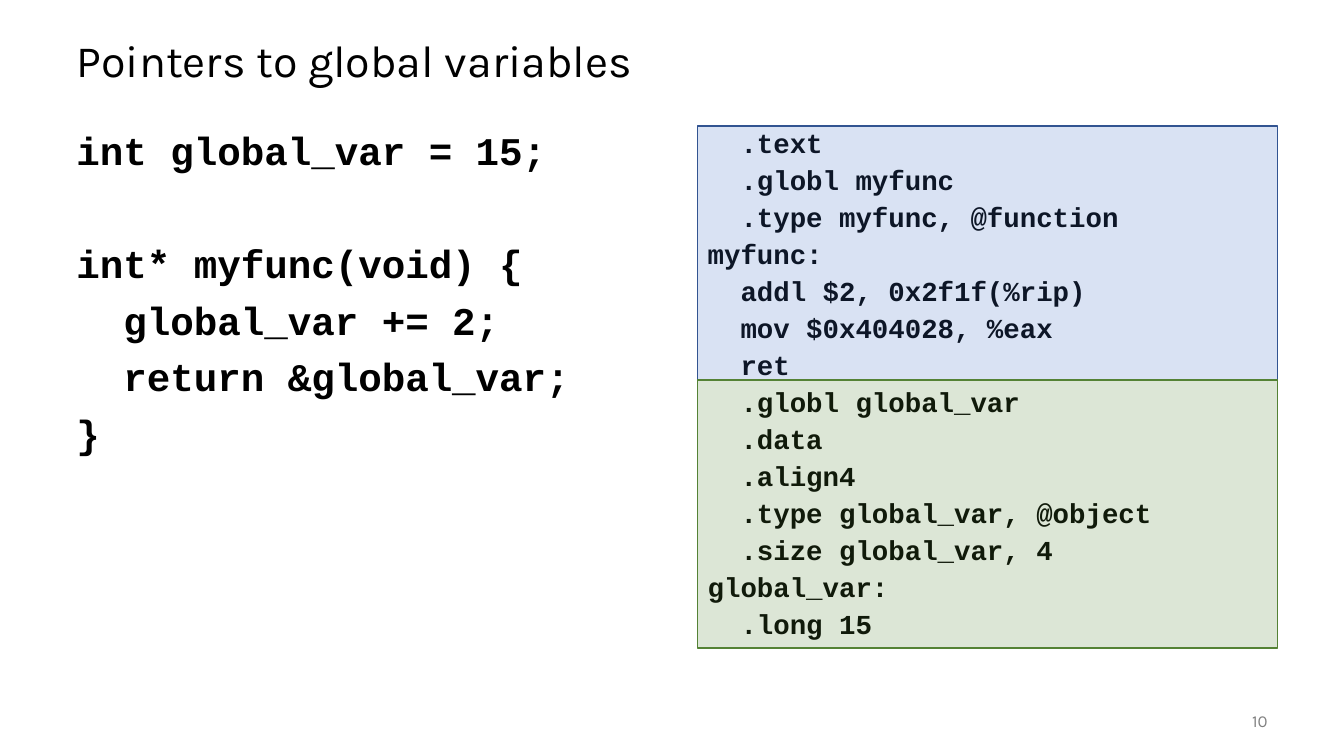
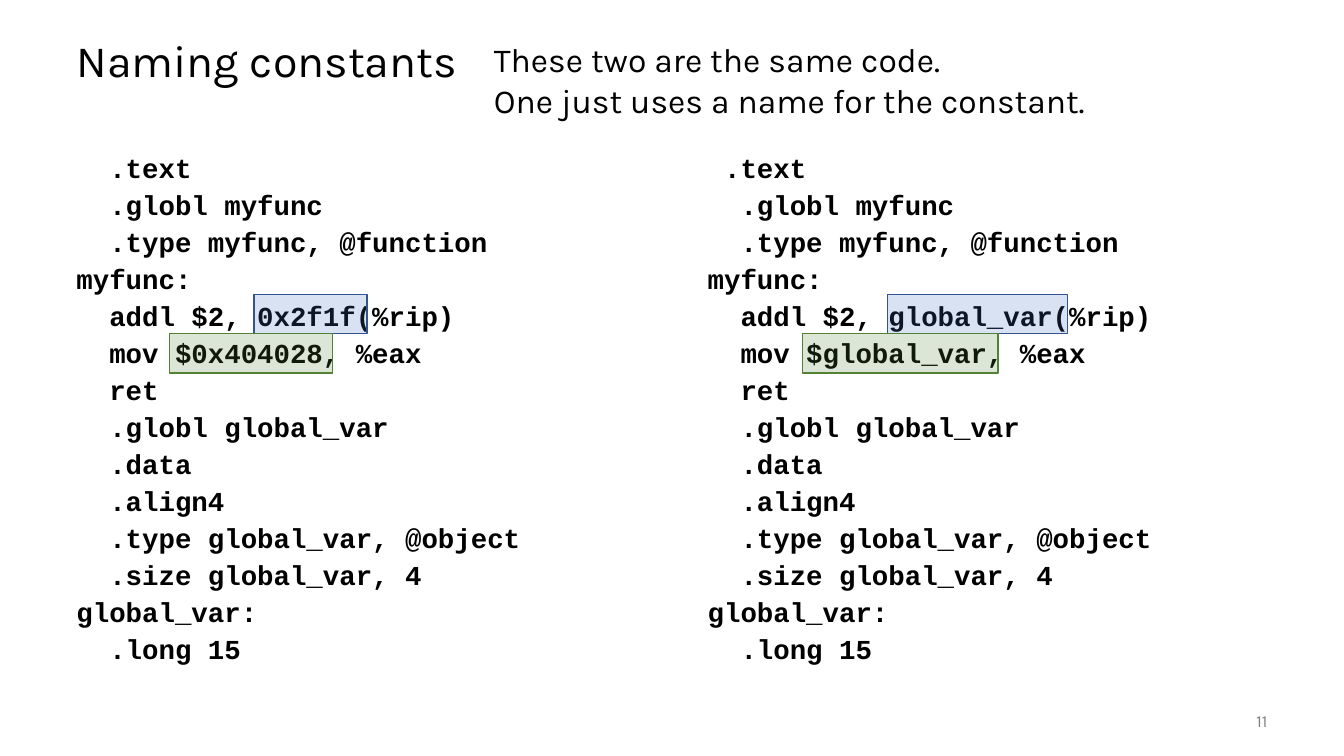
from pptx import Presentation
from pptx.dml.color import RGBColor
from pptx.enum.shapes import MSO_SHAPE
from pptx.enum.text import MSO_ANCHOR, PP_ALIGN
from pptx.oxml.ns import qn
from pptx.util import Emu, Pt
from lxml import etree

PX = 9144  # EMU in one px, 100 px to the inch

BLACK = RGBColor(0x00, 0x00, 0x00)
GRAY = RGBColor(0x80, 0x80, 0x80)
BLUE = RGBColor(0x44, 0x72, 0xC4)
DARK_BLUE = RGBColor(0x32, 0x54, 0x91)
GREEN = RGBColor(0x54, 0x82, 0x35)

SANS, MONO = "Karla", "Courier New"
LEFT, RIGHT, COLUMN_W, COLUMN_H = 66, 692, 575, 550

C_CODE = """int global_var = 15;

int* myfunc(void) {
  global_var += 2;
  return &global_var;
}"""

ASSEMBLY = """  .globl myfunc
  .type myfunc, @function
myfunc:
  addl $2, {offset}(%rip)
  mov ${address}, %eax
  ret
  .globl global_var
  .data
  .align4
  .type global_var, @object
  .size global_var, 4
global_var:
  .long 15"""


def assembly(offset, address, first="  .text"):
    return first + "\n" + ASSEMBLY.format(offset=offset, address=address)


class Deck:
    def __init__(self):
        self.prs = Presentation()
        self.prs.slide_width, self.prs.slide_height = self.emu(1333, 750)
        self.s = None

    @staticmethod
    def emu(*lengths):
        return [Emu(n * PX) for n in lengths]

    def slide(self, title, number):
        self.s = self.prs.slides.add_slide(self.prs.slide_layouts[6])
        self.text(title, (66, 25, 1200, 75), 32, anchor=MSO_ANCHOR.MIDDLE,
                  spacing=0.9)
        self.text(str(number), (1167, 695, 100, 40), 12, color=GRAY,
                  anchor=MSO_ANCHOR.MIDDLE, align=PP_ALIGN.RIGHT)

    def text(self, text, box, size, font=SANS, color=BLACK, bold=False,
             anchor=MSO_ANCHOR.TOP, align=PP_ALIGN.LEFT, spacing=1.0, gap=0):
        tf = self.s.shapes.add_textbox(*self.emu(*box)).text_frame
        tf.word_wrap = True
        tf.vertical_anchor = anchor
        p, before = tf.paragraphs[0], 0
        for i, line in enumerate(text.split("\n")):
            if not line:  # an empty code line becomes space before the next
                before += gap + spacing.pt
                continue
            if i:
                p = tf.add_paragraph()
            p.alignment = align
            p.line_spacing = spacing
            p.space_before = Pt(before)
            before = gap
            r = p.add_run()
            r.text = line
            r.font.name, r.font.size = font, Pt(size)
            r.font.bold = bold
            r.font.color.rgb = color

    def code(self, text, x, y, size, leading, gap):
        self.text(text, (x, y, COLUMN_W, COLUMN_H), size, font=MONO,
                  bold=True, spacing=Pt(leading), gap=gap)

    def asm(self, text, x, y):
        self.code(text, x, y, 19.6, 20, 6.4)

    def highlight(self, box, fill, line):
        sp = self.s.shapes.add_shape(MSO_SHAPE.RECTANGLE, *self.emu(*box))
        sp.shadow.inherit = False
        sp.fill.solid()
        sp.fill.fore_color.rgb = fill
        sp.line.color.rgb = line
        sp.line.width = Pt(1)
        # Make the fill 20% opaque
        color = sp.fill._xPr.find(qn("a:solidFill"))[0]
        etree.SubElement(color, qn("a:alpha")).set("val", "20000")

    def blue(self, *box):
        self.highlight(box, BLUE, DARK_BLUE)

    def green(self, *box):
        self.highlight(box, GREEN, GREEN)


def main():
    deck = Deck()

    # C code beside its assembly, split into text and data sections
    deck.slide("Pointers to global variables", 10)
    deck.code(C_CODE, LEFT, 125, 28, 30.4, 10)
    deck.asm(assembly("0x2f1f", "0x404028"), RIGHT, 125)
    deck.blue(RIGHT, 125, COLUMN_W, 252)
    deck.green(RIGHT, 377, COLUMN_W, 266)

    # The same assembly with numbers and with names
    deck.slide("Naming constants", 11)
    columns = [
        (LEFT, assembly("0x2f1f", "0x404028"), (252, 112), (168, 162)),
        (RIGHT, assembly("global_var", "global_var", " .text"),
         (880, 179), (796, 194)),
    ]
    for x, listing, (offset_x, offset_w), (address_x, address_w) in columns:
        deck.asm(listing, x, 150)
        deck.blue(offset_x, 292, offset_w, 39)
        deck.green(address_x, 331, address_w, 39)
    deck.text("These two are the same code.\n"
              "One just uses a name for the constant.",
              (480, 34, 632, 91), 24)

    deck.prs.save("out.pptx")


if __name__ == "__main__":
    main()
